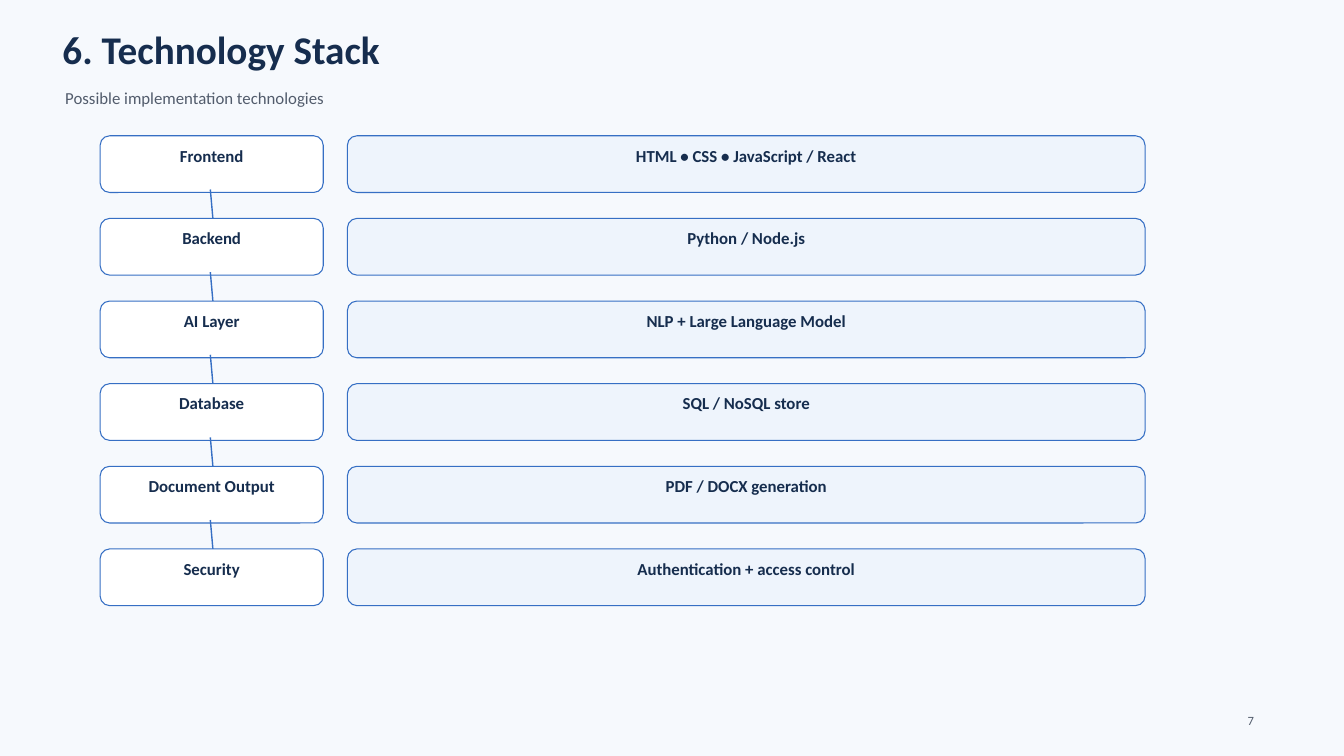
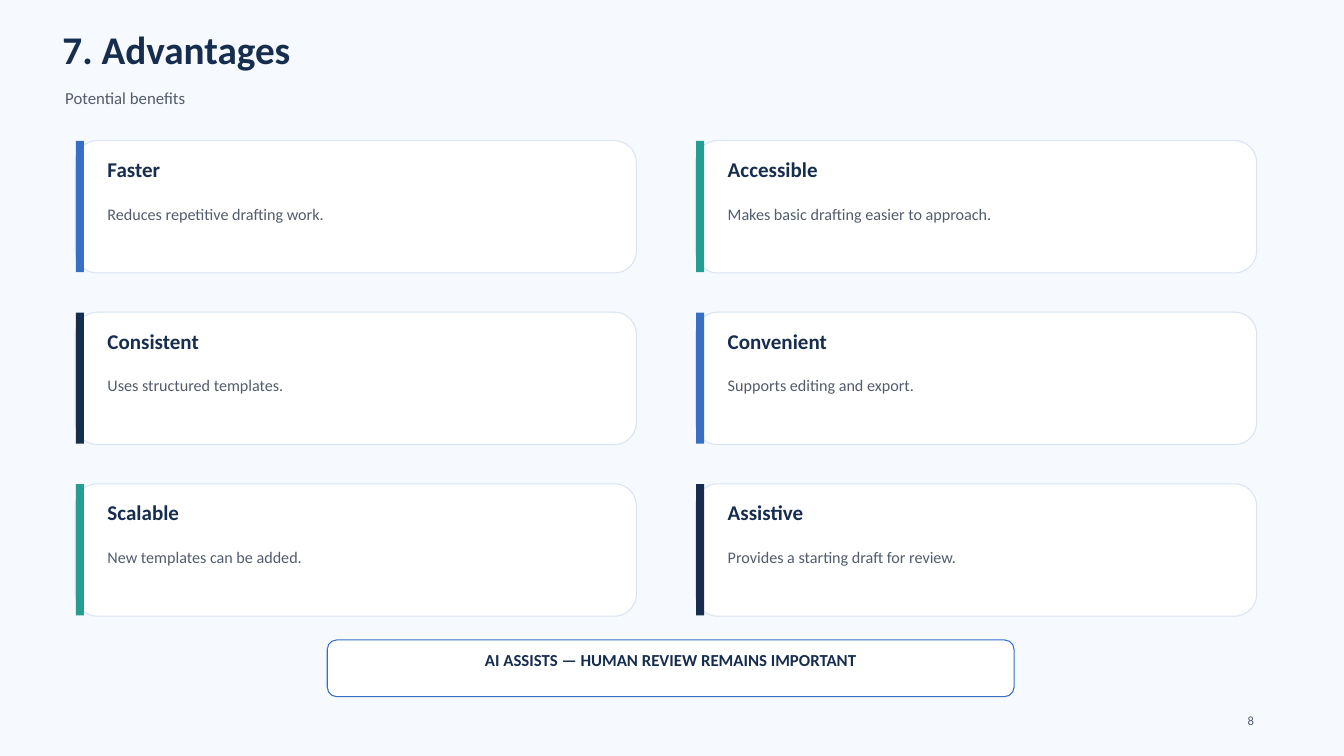
"""Build the technology stack and advantages slides."""
from lxml import etree
from pptx import Presentation
from pptx import util as u
from pptx.dml.color import RGBColor
from pptx.enum import shapes, text
from pptx.oxml.ns import qn

WIDE, HIGH = u.Inches(20), u.Inches(11.25)
HUES = {
    "page": "F6F9FD", "navy": "162D4E", "gray": "525C6C", "blue": "366FC4",
    "teal": "269D91", "pale": "EEF4FC", "white": "FFFFFF", "edge": "DAE4F2",
}
FORMS = {
    "title": {"size": 42, "bold": True, "hue": "navy"},
    "sub": {"size": 18, "hue": "gray"},
    "label": {"size": 18, "bold": True, "hue": "navy", "align": "CENTER"},
    "head": {"size": 22.5, "bold": True, "hue": "navy"},
    "body": {"size": 17.25, "hue": "gray"},
    "page": {"size": 13.5, "hue": "gray", "align": "RIGHT"},
}
LAYERS = [
    ("Frontend", "HTML • CSS • JavaScript / React"),
    ("Backend", "Python / Node.js"),
    ("AI Layer", "NLP + Large Language Model"),
    ("Database", "SQL / NoSQL store"),
    ("Document Output", "PDF / DOCX generation"),
    ("Security", "Authentication + access control"),
]
GAINS = [
    ("Faster", "Reduces repetitive drafting work."),
    ("Accessible", "Makes basic drafting easier to approach."),
    ("Consistent", "Uses structured templates."),
    ("Convenient", "Supports editing and export."),
    ("Scalable", "New templates can be added."),
    ("Assistive", "Provides a starting draft for review."),
]
BARS = ["blue", "teal", "navy"]
CHIP_H = 7.5
STEP = 10.93


def tint(name):
    """Return the named colour."""
    return RGBColor.from_string(HUES[name])


def span(x, y, w, h):
    """Turn percentages of the slide into lengths."""
    return [int(part * side / 100)
            for part, side in zip((x, y, w, h), (WIDE, HIGH) * 2)]


def write(frame, words, form, top=0):
    """Fill a text frame in one of the shared text forms."""
    look = FORMS[form]
    edges = {"margin_left": 0, "margin_right": 0, "margin_bottom": 0,
             "margin_top": u.Inches(top), "word_wrap": True,
             "vertical_anchor": text.MSO_ANCHOR.TOP}
    for key, value in edges.items():
        setattr(frame, key, value)
    para = frame.paragraphs[0]
    para.alignment = text.PP_ALIGN[look.get("align", "LEFT")]
    para.line_spacing = u.Pt(look["size"] * 1.2)
    run = para.add_run()
    run.text = words
    font = {"name": "Calibri", "size": u.Pt(look["size"]),
            "bold": look.get("bold", False)}
    for key, value in font.items():
        setattr(run.font, key, value)
    run.font.color.rgb = tint(look["hue"])


def note(slide, area, words, form):
    """Add a text box."""
    write(slide.shapes.add_textbox(*span(*area)).text_frame, words, form)


def block(slide, area, fill, line=None, kind="ROUNDED_RECTANGLE"):
    """Add a filled shape, outlined if a line colour is given."""
    form = shapes.MSO_SHAPE[kind]
    shape = slide.shapes.add_shape(form, *span(*area))
    shape.shadow.inherit = False
    shape.fill.solid()
    shape.fill.fore_color.rgb = tint(fill)
    if line:
        shape.line.color.rgb = tint(line)
        shape.line.width = u.Pt(1.13)
    else:
        shape.line.fill.background()
    return shape


def chip(slide, x, y, w, words, fill="white"):
    """Add a blue-edged box with a bold label near its top."""
    shape = block(slide, (x, y, w, CHIP_H), fill, "blue")
    write(shape.text_frame, words, "label", top=0.1)


def link(slide, x, y):
    """Draw the slightly slanted line from one layer to the next."""
    left, top, wide, high = span(x, y, 0.2, 4)
    line = slide.shapes.add_connector(
        shapes.MSO_CONNECTOR.STRAIGHT, left, top, left + wide, top + high)
    line.line.color.rgb = tint("blue")
    line.line.width = u.Pt(1.5)
    etree.SubElement(line._element.spPr, qn("a:effectLst"))


def card(slide, x, y, head, body, hue):
    """Add a white card with a coloured bar, a heading and a text."""
    block(slide, (x, y, 41.75, 17.5), "white", "edge")
    block(slide, (x + 0.05, y + 0.05, 0.6, 17.35), hue, kind="RECTANGLE")
    note(slide, (x + 2.4, y + 2.1, 37.3, 5), head, "head")
    note(slide, (x + 2.4, y + 8.4, 37.3, 6.8), body, "body")


def start(deck, title, sub, page):
    """Add a slide with background, title, subtitle and page number."""
    slide = deck.slides.add_slide(deck.slide_layouts[6])
    slide.background.fill.solid()
    slide.background.fill.fore_color.rgb = tint("page")
    note(slide, (4.65, 3.4, 65.8, 7.3), title, "title")
    note(slide, (4.85, 11.56, 72.55, 4.8), sub, "sub")
    note(slide, (89.8, 94.25, 3.5, 2.05), page, "page")
    return slide


def stack(deck):
    """Build the slide of linked technology layers."""
    slide = start(deck, "6. Technology Stack",
                  "Possible implementation technologies", "7")
    for row, (layer, tools) in enumerate(LAYERS):
        y = 17.96 + row * STEP
        if row:
            link(slide, 15.65, y + 7.11 - STEP)
        chip(slide, 7.45, y, 16.6, layer)
        chip(slide, 25.85, y, 59.35, tools, "pale")


def gains(deck):
    """Build the slide of advantage cards."""
    slide = start(deck, "7. Advantages", "Potential benefits", "8")
    for spot, (head, body) in enumerate(GAINS):
        row, col = divmod(spot, 2)
        card(slide, 5.6 + col * 46.15, 18.6 + row * 22.7, head, body,
             BARS[spot % len(BARS)])
    chip(slide, 24.35, 84.65, 51.1,
         "AI ASSISTS — HUMAN REVIEW REMAINS IMPORTANT")


def main():
    """Build and save the deck."""
    deck = Presentation()
    deck.slide_width, deck.slide_height = WIDE, HIGH
    stack(deck)
    gains(deck)
    deck.save("out.pptx")


if __name__ == "__main__":
    main()
